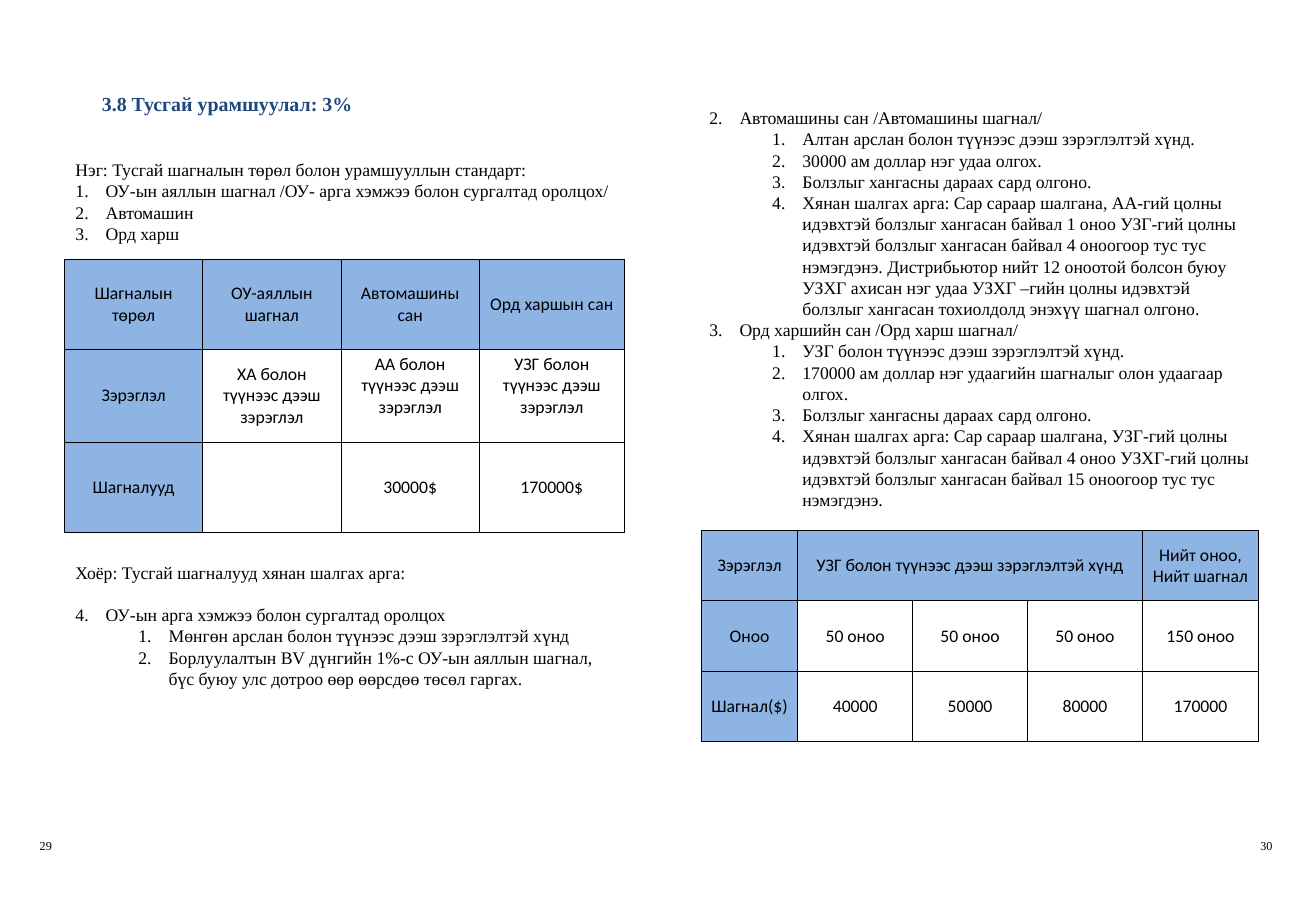
from lxml import etree
from pptx import Presentation
from pptx import util as u
from pptx.dml.color import RGBColor
from pptx.enum import text
from pptx.oxml import ns

BLACK = RGBColor(0x00, 0x00, 0x00)
NAVY = RGBColor(0x1F, 0x49, 0x7D)
HEADER_BLUE = RGBColor(0x8E, 0xB4, 0xE3)
SERIF, SANS = "Times New Roman", "Calibri"
LIST_INDENTS = [0.38, 1.17]
HANGING = u.Inches(0.38)

presentation = Presentation()
presentation.slide_width, presentation.slide_height = u.Inches(16.53), u.Inches(11.36)
# Lengths count columns and rows of a 100 by 100 grid
COLUMN, ROW = presentation.slide_width / 100, presentation.slide_height / 100
slide = presentation.slides.add_slide(presentation.slide_layouts[5])


def write(frame, items, size=16, font=SERIF, color=BLACK, bold=False,
          align=text.PP_ALIGN.LEFT, spacing=None):
    """Items are (text, list level or None, first number, space before)."""
    for index, (words, level, start, before) in enumerate(items):
        paragraph = frame.paragraphs[0] if index == 0 else frame.add_paragraph()
        if level is not None:
            paragraph.level = level
            properties = paragraph._p.get_or_add_pPr()
            properties.set("marL", str(u.Inches(LIST_INDENTS[level])))
            properties.set("indent", str(-HANGING))
            etree.SubElement(properties, ns.qn("a:buFont"), typeface="+mj-lt")
            etree.SubElement(properties, ns.qn("a:buAutoNum"),
                             type="arabicPeriod", startAt=str(start))
        paragraph.alignment = align
        paragraph.space_before = u.Pt(before)
        if spacing:
            paragraph.line_spacing = u.Pt(spacing)
        run = paragraph.add_run()
        run.text = words
        run.font.size, run.font.name, run.font.bold = u.Pt(size), font, bold
        run.font.color.rgb = color


def border(cell):
    properties = cell._tc.get_or_add_tcPr()
    for side in ("lnL", "lnR", "lnT", "lnB"):
        line = etree.SubElement(properties, ns.qn(f"a:{side}"), w=str(u.Pt(1)))
        fill = etree.SubElement(line, ns.qn("a:solidFill"))
        etree.SubElement(fill, ns.qn("a:srgbClr"), val=str(BLACK))


# Title
title = slide.shapes.title
title.left, title.top = int(7.14 * COLUMN), int(9.68 * ROW)
title.width, title.height = int(20.45 * COLUMN), int(3.52 * ROW)
title.text_frame.word_wrap = False
title.text_frame.auto_size = text.MSO_AUTO_SIZE.NONE
title.text_frame.vertical_anchor = text.MSO_ANCHOR.TOP
write(title.text_frame, [("3.8 Тусгай урамшуулал: 3%", None, 1, 0)],
      size=18, color=NAVY, bold=True)

# Running text: left, top, height, items
text_blocks = [
    (5.14, 17.17, 10.3, [
        ("Нэг: Тусгай шагналын төрөл болон урамшууллын стандарт:", None, 1, 0),
        ("ОУ-ын аяллын шагнал /ОУ- арга хэмжээ болон сургалтад оролцох/", 0, 1, 0),
        ("Автомашин", 0, 1, 0),
        ("Орд харш", 0, 1, 0),
    ]),
    (5.14, 61.7, 17.2, [
        ("Хоёр: Тусгай шагналууд хянан шалгах арга:", None, 1, 0),
        ("ОУ-ын арга хэмжээ болон сургалтад оролцох", 0, 4, 19.2),
        ("Мөнгөн арслан болон түүнээс дээш зэрэглэлтэй хүнд", 1, 1, 0),
        ("Борлуулалтын BV дүнгийн 1%-с ОУ-ын аяллын шагнал, бүс буюу улс "
         "дотроо өөр өөрсдөө төсөл гаргах.", 1, 1, 0),
    ]),
    (53.3, 11.4, 45.8, [
        ("Автомашины сан /Автомашины шагнал/", 0, 2, 0),
        ("Алтан арслан болон түүнээс дээш зэрэглэлтэй хүнд.", 1, 1, 0),
        ("30000 ам доллар нэг удаа олгох.", 1, 1, 0),
        ("Болзлыг хангасны дараах сард олгоно.", 1, 1, 0),
        ("Хянан шалгах арга: Сар сараар шалгана, АА-гий цолны идэвхтэй болзлыг "
         "хангасан байвал 1 оноо УЗГ-гий цолны идэвхтэй болзлыг хангасан байвал "
         "4 оноогоор тус тус нэмэгдэнэ. Дистрибьютор нийт 12 оноотой болсон буюу "
         "УЗХГ ахисан нэг удаа УЗХГ –гийн цолны идэвхтэй болзлыг хангасан "
         "тохиолдолд энэхүү шагнал олгоно.", 1, 1, 0),
        ("Орд харшийн сан /Орд харш шагнал/", 0, 3, 0),
        ("УЗГ болон түүнээс дээш зэрэглэлтэй хүнд.", 1, 1, 0),
        ("170000 ам доллар нэг удаагийн шагналыг олон удаагаар олгох.", 1, 1, 0),
        ("Болзлыг хангасны дараах сард олгоно.", 1, 1, 0),
        ("Хянан шалгах арга: Сар сараар шалгана, УЗГ-гий цолны идэвхтэй болзлыг "
         "хангасан байвал 4 оноо УЗХГ-гий цолны идэвхтэй болзлыг хангасан байвал "
         "15 оноогоор тус тус нэмэгдэнэ.", 1, 1, 0),
    ]),
]
for left, top, height, items in text_blocks:
    shape = slide.shapes.add_textbox(int(left * COLUMN), int(top * ROW),
                                     int(42.35 * COLUMN), int(height * ROW))
    shape.text_frame.word_wrap = True
    write(shape.text_frame, items, spacing=19.2)

# Page numbers
for left, number in ((3.02, "29"), (95.77, "30")):
    shape = slide.shapes.add_textbox(int(left * COLUMN), int(92.87 * ROW),
                                     int(1.5 * COLUMN), int(1.94 * ROW))
    frame = shape.text_frame
    frame.word_wrap = True
    frame.margin_left = frame.margin_right = frame.margin_top = 0
    write(frame, [(number, None, 1, 0)], size=11, spacing=12)

# Tables: left, top, column widths, row heights, cells (None is merged leftwards)
tables = [
    (4.9, 28.7, [10.51, 10.51, 10.51, 11.01], [9.95, 10.3, 9.95], [
        ["Шагналын төрөл", "ОУ-аяллын шагнал", "Автомашины сан", "Орд харшын сан"],
        ["Зэрэглэл", "ХА болон түүнээс дээш зэрэглэл",
         "АА болон түүнээс дээш зэрэглэл", "УЗГ болон түүнээс дээш зэрэглэл"],
        ["Шагналууд", "", "30000$", "170000$"],
    ]),
    (53.3, 58.71, [7.32, 8.73, 8.73, 8.73, 8.83], [7.77] * 3, [
        ["Зэрэглэл", "УЗГ болон түүнээс дээш зэрэглэлтэй хүнд", None, None,
         "Нийт оноо, Нийт шагнал"],
        ["Оноо", "50 оноо", "50 оноо", "50 оноо", "150 оноо"],
        ["Шагнал($)", "40000", "50000", "80000", "170000"],
    ]),
]
grids = []
for left, top, widths, heights, rows in tables:
    table = slide.shapes.add_table(
        len(rows), len(widths), int(left * COLUMN), int(top * ROW),
        int(sum(widths) * COLUMN), int(sum(heights) * ROW)).table
    table.first_row = table.horz_banding = False
    for column, width in zip(table.columns, widths):
        column.width = int(width * COLUMN)
    for row, height in zip(table.rows, heights):
        row.height = int(height * ROW)
    for r, values in enumerate(rows):
        for c, value in enumerate(values):
            cell = table.cell(r, c)
            border(cell)
            cell.vertical_anchor = text.MSO_ANCHOR.MIDDLE
            if r == 0 or c == 0:
                cell.fill.solid()
                cell.fill.fore_color.rgb = HEADER_BLUE
            else:
                cell.fill.background()
            if value:
                write(cell.text_frame, [(value, None, 1, 0)], font=SANS,
                      align=text.PP_ALIGN.CENTER)
    grids.append(table)

# Raised text in two rank cells, and the shared rank heading
rewards, points = grids
for c in (2, 3):
    rewards.cell(1, c).margin_bottom = u.Inches(0.32)
points.cell(0, 1).merge(points.cell(0, 3))

presentation.save("out.pptx")
